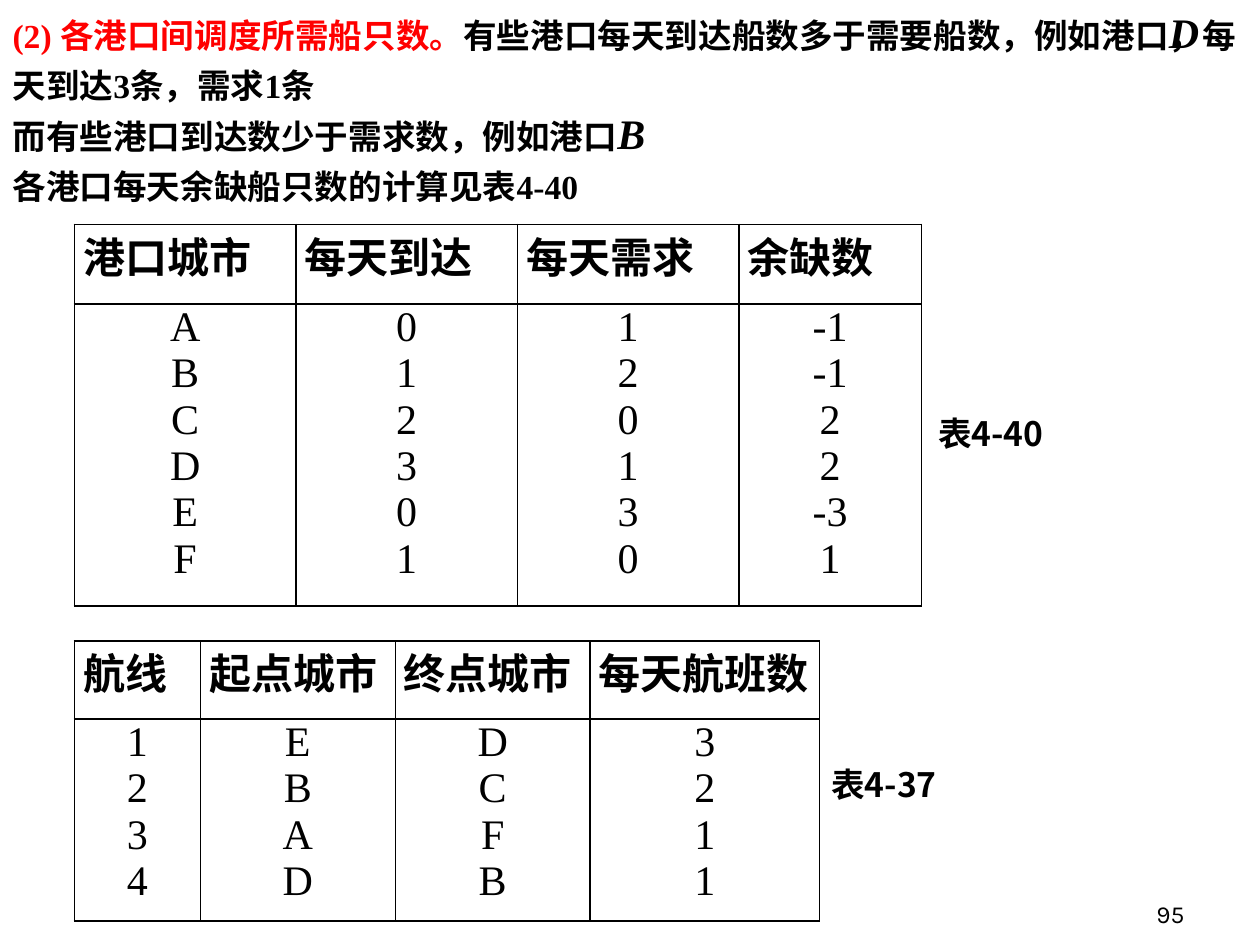
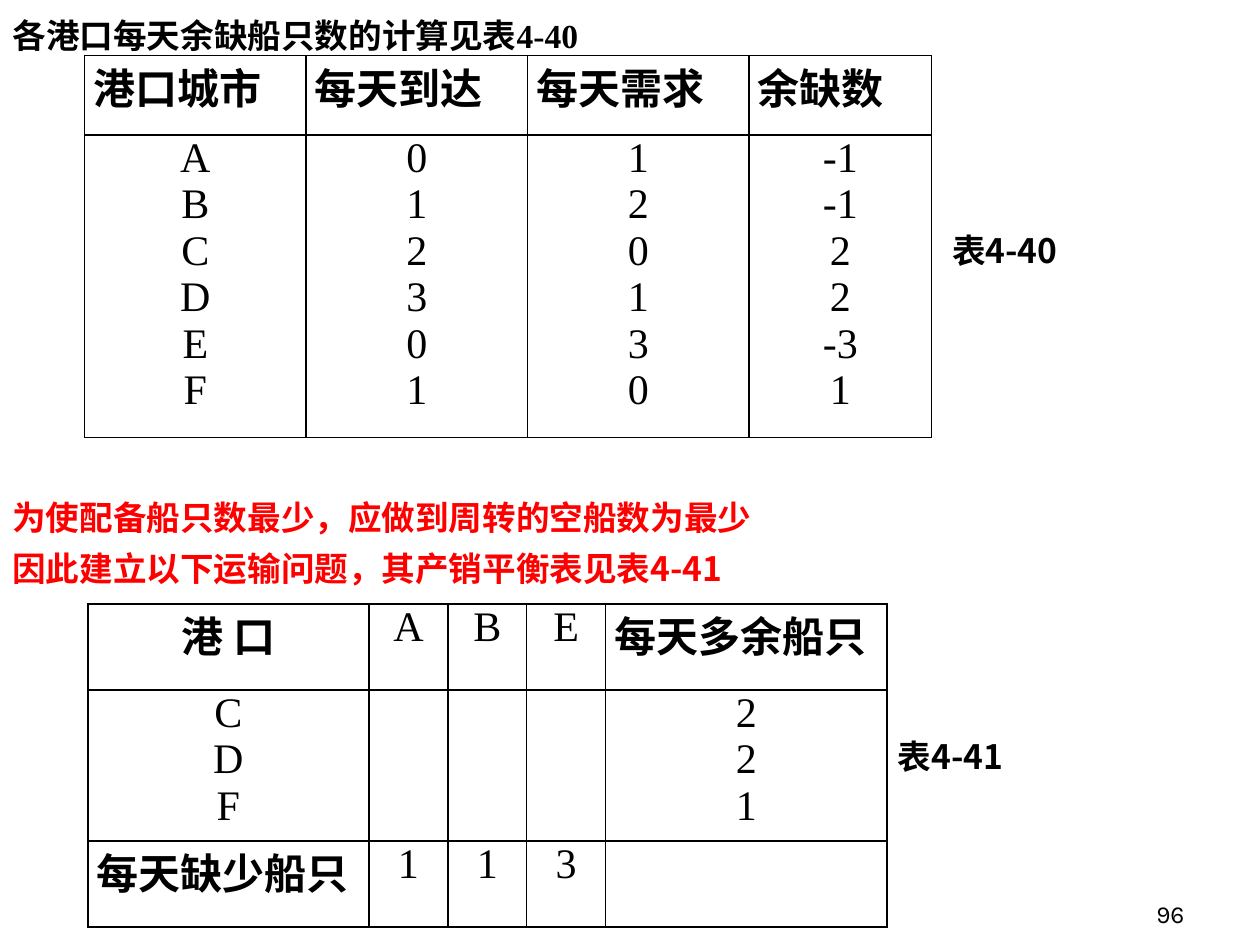
from dataclasses import dataclass

from lxml.etree import SubElement
from pptx import Presentation
from pptx.dml.color import RGBColor as Color
from pptx.enum.text import MSO_ANCHOR as Anchor, MSO_AUTO_SIZE as AutoSize, PP_ALIGN as Align
from pptx.oxml.ns import qn
from pptx.util import Pt


@dataclass(frozen=True)
class Theme:
    """Colours, fonts and sizes shared by the slides."""
    black: str = "000000"
    red: str = "FF0000"
    serif: str = "Times New Roman"
    chinese: str = "Noto Sans CJK SC"
    number_font: str = "Karla"
    size: float = 24
    number_size: float = 14
    line_pitch: float = 28.8
    border: float = 1
    cell_margin: float = 5


THEME = Theme()
LEAD = {"name": THEME.serif, "size": Pt(THEME.size), "bold": True, "italic": False}
NOTE = LEAD | {"name": THEME.chinese}
VALUE = LEAD | {"bold": False}
NUMBER = VALUE | {"name": THEME.number_font, "size": Pt(THEME.number_size)}

BALANCE_HEADINGS = ["港口城市", "每天到达", "每天需求", "余缺数"]
BALANCE_VALUES = [list("ABCDEF"), list("012301"), list("120130"),
                  ["-1", "-1", "2", "2", "-3", "1"]]
BALANCE_WIDTHS = [126.6, 126.6, 126.6, 104.2]
BALANCE_HEIGHTS = [45.4, 172.8]
BALANCE_LEAD = "各港口每天余缺船只数的计算见表4-40"


def set_attributes(target, values):
    """Set each named attribute on the target."""
    for name, value in values.items():
        setattr(target, name, value)


def add_run(paragraph, text, style, color=THEME.black, small_caps=False):
    """Append one formatted run to the paragraph."""
    run = paragraph.add_run()
    run.text = text
    set_attributes(run.font, style)
    run.font.color.rgb = Color.from_string(color)
    properties = run.font._element
    if small_caps:
        properties.set("cap", "small")
    SubElement(properties, qn("a:ea")).set("typeface", THEME.chinese)


def next_paragraph(frame, index):
    """Return the first paragraph, or a new one after it."""
    return frame.paragraphs[0] if index == 0 else frame.add_paragraph()


def fill_text(frame, paragraphs, style):
    """Write paragraphs of (text, color, italic) runs in small capitals."""
    set_attributes(frame, {"auto_size": AutoSize.NONE, "vertical_anchor": Anchor.TOP})
    for index, runs in enumerate(paragraphs):
        paragraph = next_paragraph(frame, index)
        set_attributes(paragraph, {"alignment": Align.LEFT,
                                   "line_spacing": Pt(THEME.line_pitch)})
        for text, color, italic in runs:
            add_run(paragraph, text, style | {"italic": italic}, color, small_caps=True)


def plain(text, color=THEME.black):
    """Return a paragraph made of one upright run."""
    return [(text, color, False)]


def set_title(slide, height, paragraphs):
    """Place the title across the top of the slide and fill it."""
    title = slide.shapes.title
    set_attributes(title, {"left": Pt(0), "top": Pt(0),
                           "width": Pt(720), "height": Pt(height)})
    title.text_frame.word_wrap = True
    fill_text(title.text_frame, paragraphs, LEAD)


def add_note(slide, left, top, width, height, paragraphs, wrap=True):
    """Add a text box in the bold Chinese face."""
    frame = slide.shapes.add_textbox(Pt(left), Pt(top), Pt(width), Pt(height)).text_frame
    frame.word_wrap = wrap
    fill_text(frame, paragraphs, NOTE)


def add_caption(slide, left, top, text):
    """Add a table caption on one line."""
    add_note(slide, left, top, 94.3, 36, [plain(text)], wrap=False)


def add_slide_number(slide, number):
    """Add the page number at the bottom right."""
    frame = slide.shapes.add_textbox(Pt(534), Pt(498), Pt(150), Pt(36)).text_frame
    set_attributes(frame, {"word_wrap": True, "vertical_anchor": Anchor.BOTTOM})
    paragraph = frame.paragraphs[0]
    paragraph.alignment = Align.RIGHT
    add_run(paragraph, str(number), NUMBER)


def add_borders(cell):
    """Draw a solid line on the four sides of the cell."""
    properties = cell._tc.get_or_add_tcPr()
    for index, side in enumerate(("lnL", "lnR", "lnT", "lnB")):
        line = properties.makeelement(qn(f"a:{side}"), {"w": str(Pt(THEME.border))})
        fill = SubElement(line, qn("a:solidFill"))
        SubElement(fill, qn("a:srgbClr")).set("val", THEME.black)
        properties.insert(index, line)


def fill_cell(cell, content, centred):
    """Write a heading string, or a list of centred values, in the cell."""
    margin = Pt(THEME.cell_margin)
    set_attributes(cell, {"margin_left": margin, "margin_right": margin,
                          "margin_top": 0, "margin_bottom": 0})
    cell.fill.background()
    add_borders(cell)
    heading = isinstance(content, str)
    for index, text in enumerate([content] if heading else content):
        paragraph = next_paragraph(cell.text_frame, index)
        paragraph.alignment = Align.LEFT if heading and text not in centred else Align.CENTER
        add_run(paragraph, text, NOTE if heading else VALUE)


def add_grid(slide, left, top, widths, heights, rows, centred=()):
    """Add a ruled table without fills."""
    frame = slide.shapes.add_table(len(heights), len(widths), Pt(left), Pt(top),
                                   Pt(sum(widths)), Pt(sum(heights)))
    table = frame.table
    set_attributes(table, {"first_row": False, "horz_banding": False})
    for column, width in zip(table.columns, widths):
        column.width = Pt(width)
    for row, height, contents in zip(table.rows, heights, rows):
        row.height = Pt(height)
        for cell, content in zip(row.cells, contents):
            fill_cell(cell, content, centred)


def add_balance_table(slide, left, top):
    """Add the daily ship balance of each port."""
    add_grid(slide, left, top, BALANCE_WIDTHS, BALANCE_HEIGHTS,
             [BALANCE_HEADINGS, BALANCE_VALUES])


def build_balance_slide(slide):
    """Build the slide on surplus and shortage in each port."""
    set_title(slide, 138, [
        [("(2) 各港口间调度所需船只数。", THEME.red, False),
         ("有些港口每天到达船数多于需要船数，例如港口", THEME.black, False),
         ("D", THEME.black, True),
         ("，每天到达3条，需求1条", THEME.black, False)],
        [("而有些港口到达数少于需求数，例如港口", THEME.black, False),
         ("B", THEME.black, True)],
        plain(BALANCE_LEAD)])
    add_caption(slide, 529, 227.5, "表4-40")
    add_caption(slide, 468, 428, "表4-37")
    add_balance_table(slide, 42.5, 128.2)
    add_grid(slide, 42.5, 366.4, [72, 111.4, 111.4, 131], [44.5, 115.5],
             [["航线", "起点城市", "终点城市", "每天航班数"],
              [list("1234"), list("EBAD"), list("DCFB"), list("3211")]])


def build_transport_slide(slide):
    """Build the slide on the transport problem for empty ships."""
    set_title(slide, 37.5, [plain(BALANCE_LEAD)])
    add_caption(slide, 537, 123, "表4-40")
    add_note(slide, 0, 275.8, 720, 68.4, [
        plain("为使配备船只数最少，应做到周转的空船数为最少", THEME.red),
        plain("因此建立以下运输问题，其产销平衡表见表4-41", THEME.red)])
    add_caption(slide, 506, 412, "表4-41")
    add_balance_table(slide, 48.3, 31.8)
    add_grid(slide, 50.2, 345, [160.6, 45.2, 45, 45.2, 160.6], [49.2, 86.5, 49.2],
             [["港 口", ["A"], ["B"], ["E"], "每天多余船只"],
              [list("CDF"), [], [], [], list("221")],
              ["每天缺少船只", ["1"], ["1"], ["3"], []]], centred=("港 口",))


def main():
    """Build and save the presentation."""
    presentation = Presentation()
    set_attributes(presentation, {"slide_width": Pt(720), "slide_height": Pt(540)})
    title_only = presentation.slide_layouts.get_by_name("Title Only")
    for number, build in enumerate((build_balance_slide, build_transport_slide), start=95):
        slide = presentation.slides.add_slide(title_only)
        build(slide)
        add_slide_number(slide, number)
    presentation.save("out.pptx")


if __name__ == "__main__":
    main()
